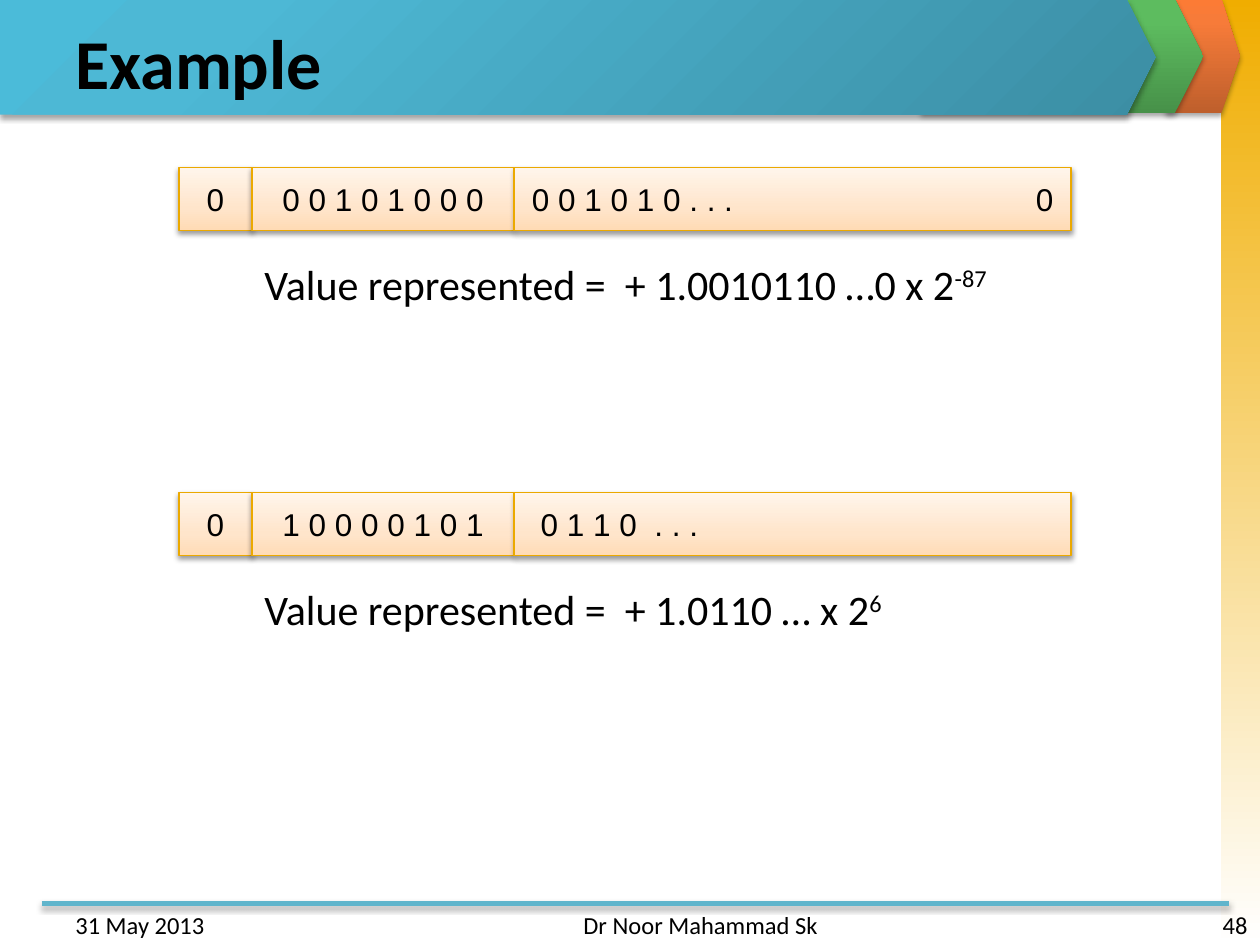
from dataclasses import dataclass

from lxml import etree
from pptx import Presentation
from pptx.dml.color import RGBColor
from pptx.enum import shapes, text
from pptx.oxml import ns
from pptx.util import Inches, Pt

COLOURS = {
    "black": "000000",
    "white": "FFFFFF",
    "gold": "F0AD00",
    "rule": "60B5CC",
    "cell_line": "EBA900",
}
ORANGE = ((0, "BE5F2C"), (80, "F77B39"), (100, "FC7B35"))
GREEN = ((0, "479149"), (80, "5DBC5F"), (100, "5BBF5E"))
BLUE = ((0, "3C8EA4"), (80, "4DB8D5"), (100, "4BBBD9"))
PEACH = ((0, "FFDBB5"), (35, "FFE5CB"), (100, "FFF5EB"))
GOLD_FADE = ((0, COLOURS["gold"]), (100, COLOURS["white"]))

CELL_LEFT = 1.42
CELL_WIDTHS = (0.58, 2.08, 4.42)
CELL_HEIGHT = 0.5


@dataclass
class Banner:
    left: float
    top: float
    width: float
    stops: tuple
    radial: bool = False


@dataclass
class FloatExample:
    top: float
    fields: tuple
    value: str
    exponent: str
    value_top: float
    value_width: float


@dataclass
class Label:
    wording: str
    left: float
    width: float
    align: text.PP_ALIGN


BANNERS = (
    Banner(9.25, -0.01, 0.59, ORANGE),
    Banner(7.31, -0.01, 2.24, GREEN),
    Banner(0, 0, 9.17, BLUE, radial=True),
)
EXAMPLES = (
    FloatExample(1.33, ("0", "0 0 1 0 1 0 0 0", "0 0 1 0 1 0 . . . \t\t\t0"),
                 "Value represented =  + 1.0010110 …0 x 2", "-87", 2, 6.02),
    FloatExample(3.91, ("0", "1 0 0 0 0 1 0 1", "0 1 1 0  . . . \t\t\t"),
                 "Value represented =  + 1.0110 … x 2", "6", 4.58, 5.16),
)
FOOTERS = (
    Label("31 May 2013", 0.5, 2.33, text.PP_ALIGN.LEFT),
    Label("Dr Noor Mahammad Sk", 3.42, 3.17, text.PP_ALIGN.RIGHT),
    Label("48", 7.67, 2.33, text.PP_ALIGN.RIGHT),
)


def add_child(parent, tag: str, **attributes):
    values = {name: str(value) for name, value in attributes.items()}
    return etree.SubElement(parent, ns.qn(tag), values)


def set_gradient(shape, stops: tuple, angle: int = 270, radial: bool = False) -> None:
    shape.fill.background()
    empty = shape.element.spPr.find(ns.qn("a:noFill"))
    gradient = etree.Element(ns.qn("a:gradFill"), rotWithShape="1")
    stop_list = add_child(gradient, "a:gsLst")
    for position, colour in stops:
        stop = add_child(stop_list, "a:gs", pos=position * 1000)
        add_child(stop, "a:srgbClr", val=colour)
    if radial:
        circle = add_child(gradient, "a:path", path="circle")
        add_child(circle, "a:fillToRect", l=100000, t=100000)
    else:
        add_child(gradient, "a:lin", ang=angle * 60000, scaled=0)
    shape.element.spPr.replace(empty, gradient)


def set_shadow(shape, alpha: int = 35, distance: float = 1.8) -> None:
    effects = add_child(shape.element.spPr, "a:effectLst")
    shadow = add_child(effects, "a:outerShdw", blurRad=Pt(3.1), dist=Pt(distance),
                       dir=90 * 60000, rotWithShape=0)
    colour = add_child(shadow, "a:srgbClr", val=COLOURS["black"])
    add_child(colour, "a:alpha", val=alpha * 1000)


def write(shape, wording: str, *, size: int, font: str = "Calibri", bold: bool = False,
          align=text.PP_ALIGN.LEFT, anchor=text.MSO_ANCHOR.TOP,
          wrap: bool = True, superscript: str = "") -> None:
    frame = shape.text_frame
    frame.word_wrap = wrap
    frame.vertical_anchor = anchor
    para = frame.paragraphs[0]
    para.alignment = align
    para._p.get_or_add_pPr().set("defTabSz", str(Inches(1)))
    for part in filter(None, (wording, superscript)):
        span = para.add_run()
        span.text = part
        span.font.size = Pt(size)
        span.font.name = font
        span.font.bold = bold
        span.font.color.rgb = RGBColor.from_string(COLOURS["black"])
    if superscript:
        span.font._element.set("baseline", "30000")


def add_box(page, left: float, top: float, width: float, height: float):
    return page.shapes.add_textbox(Inches(left), Inches(top), Inches(width), Inches(height))


def add_panel(page, kind, left: float, top: float, width: float, height: float):
    panel = page.shapes.add_shape(kind, Inches(left), Inches(top), Inches(width), Inches(height))
    panel.line.fill.background()
    return panel


def draw_banner(page, banner: Banner) -> None:
    panel = add_panel(page, shapes.MSO_SHAPE.PENTAGON, banner.left, banner.top, banner.width, 0.91)
    panel.adjustments[0] = 0.25
    set_gradient(panel, banner.stops, radial=banner.radial)
    set_shadow(panel)


def draw_frame(page) -> None:
    strip = add_panel(page, shapes.MSO_SHAPE.RECTANGLE, 9.69, 0, 0.31, 7.5)
    strip.shadow.inherit = False
    set_gradient(strip, GOLD_FADE, angle=90)
    for banner in BANNERS:
        draw_banner(page, banner)
    rule = page.shapes.add_connector(shapes.MSO_CONNECTOR.STRAIGHT, Inches(0.33), Inches(7.17),
                                     Inches(9.75), Inches(7.17))
    rule.line.color.rgb = RGBColor.from_string(COLOURS["rule"])
    rule.line.width = Pt(3)
    set_shadow(rule)


def draw_example(page, example: FloatExample) -> None:
    left = CELL_LEFT
    for wording, width in zip(example.fields, CELL_WIDTHS):
        cell = add_panel(page, shapes.MSO_SHAPE.RECTANGLE, left, example.top, width, CELL_HEIGHT)
        set_gradient(cell, PEACH)
        cell.line.color.rgb = RGBColor.from_string(COLOURS["cell_line"])
        cell.line.width = Pt(0.75)
        set_shadow(cell, alpha=38, distance=1.6)
        write(cell, wording, size=18, font="Arial", align=text.PP_ALIGN.CENTER,
              anchor=text.MSO_ANCHOR.MIDDLE)
        left += width
    box = add_box(page, 2, example.value_top, example.value_width, 0.5)
    write(box, example.value, size=24, wrap=False, superscript=example.exponent)


def main() -> None:
    deck = Presentation()
    deck.slide_width, deck.slide_height = Inches(10), Inches(7.5)
    page = deck.slides.add_slide(deck.slide_layouts[6])
    draw_frame(page)
    write(add_box(page, 0.5, 0.14, 9, 0.69), "Example", size=40, bold=True,
          anchor=text.MSO_ANCHOR.MIDDLE)
    for footer in FOOTERS:
        box = add_box(page, footer.left, 7.17, footer.width, 0.25)
        write(box, footer.wording, size=14, align=footer.align)
    for example in EXAMPLES:
        draw_example(page, example)
    deck.save("out.pptx")


if __name__ == "__main__":
    main()
